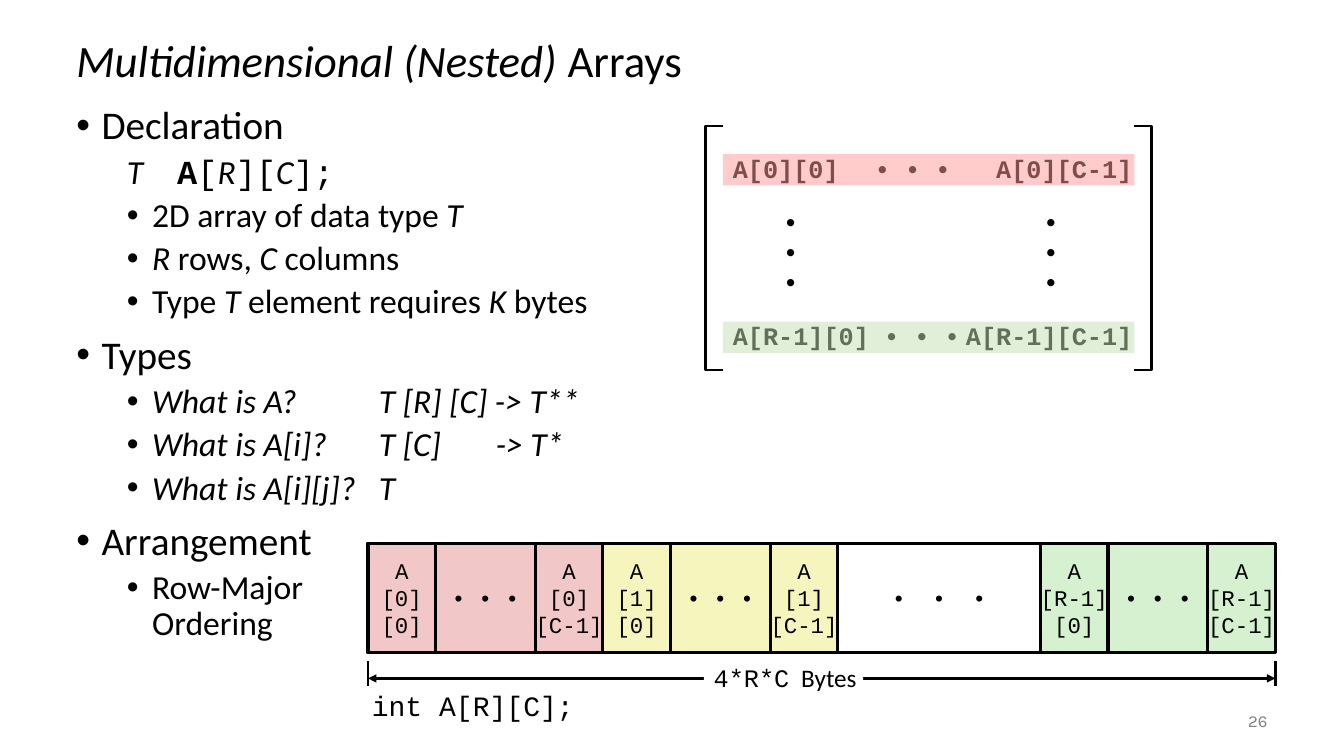
from lxml import etree
from pptx import Presentation
from pptx.dml.color import RGBColor
from pptx.enum.shapes import MSO_CONNECTOR as CONN, MSO_SHAPE as SHAPE
from pptx.enum.text import MSO_ANCHOR as ANCHOR, PP_ALIGN as ALIGN
from pptx.oxml.ns import qn
from pptx.util import Inches, Pt

COLORS = {"ink": "000000", "paper": "FFFFFF", "pink": "F1C7C7",
          "yellow": "F6F5BD", "green": "D5F1CF", "first_row": "FF9999",
          "last_row": "C5E0B4", "number": "808080"}
SANS, MONO = "Calibri", "Courier New"
IT, CODE = {"italic": True}, {"name": MONO}
DOTS = "• • •"


def rgb(name):
    return RGBColor.from_string(COLORS[name])


def sub(parent, tag, **attrs):
    return etree.SubElement(parent, qn(tag), attrs)


def add_run(p, text, color="ink", **fmt):
    r = p.add_run()
    r.text = text
    r.font.color.rgb = rgb(color)
    for key, value in fmt.items():
        setattr(r.font, key, value)
    return r


def add_text(s, box, anchor=ANCHOR.TOP, wrap=True):
    tf = s.shapes.add_textbox(*map(Inches, box)).text_frame
    tf.word_wrap, tf.vertical_anchor = wrap, anchor
    return tf


def add_box(s, box, fill, lines=(), line=None, align=ALIGN.LEFT, **fmt):
    sp = s.shapes.add_shape(SHAPE.RECTANGLE, *map(Inches, box))
    sp.shadow.inherit = False
    sp.fill.solid()
    sp.fill.fore_color.rgb = rgb(fill)
    if line:
        sp.line.color.rgb = rgb("ink")
        sp.line.width = Pt(line)
    else:
        sp.line.fill.background()
    tf = sp.text_frame
    tf.word_wrap, tf.vertical_anchor = False, ANCHOR.MIDDLE
    for i, text in enumerate(lines):
        p = tf.add_paragraph() if i else tf.paragraphs[0]
        p.alignment = align
        add_run(p, text, **{"name": MONO, **fmt})
    return sp


def add_line(s, x1, y1, x2, y2, arrows=False):
    c = s.shapes.add_connector(CONN.STRAIGHT, *map(Inches, (x1, y1, x2, y2)))
    c.line.color.rgb = rgb("ink")
    c.line.width = Pt(2)
    if arrows:
        for end in ("a:headEnd", "a:tailEnd"):
            sub(c.line._get_or_add_ln(), end, type="triangle")
    sub(c._element.spPr, "a:effectLst")


def title(s, box):
    p = add_text(s, box, ANCHOR.MIDDLE).paragraphs[0]
    p.line_spacing = 0.9
    add_run(p, "Multidimensional (Nested)", name=SANS, size=Pt(32), italic=True)
    add_run(p, " Arrays", name=SANS, size=Pt(32))


# Outline: (level, bullet, tab stops, runs)
OUTLINE = [
    (0, True, (), [("Declaration", {})]),
    (1, False, (0.89,), [("T\t", IT), ("A", {"name": MONO, "bold": True}),
                         ("[", CODE), ("R", IT), ("][", CODE), ("C", IT),
                         ("];", CODE)]),
    (1, True, (), [("2D array of data type ", {}), ("T", IT)]),
    (1, True, (), [("R", IT), (" rows, ", {}), ("C", IT), (" columns", {})]),
    (1, True, (), [("Type ", {}), ("T", IT), (" element requires ", {}),
                   ("K", IT), (" bytes", {})]),
    (0, True, (), [("Types", {})]),
    (1, True, (3,), [("What is A?\tT [R] [C] -> T**", IT)]),
    (1, True, (3, 4.16), [("What is A[i]?\tT [C]\t-> T*", IT)]),
    (1, True, (3,), [("What is A[i][j]?\tT", IT)]),
    (0, True, (), [("Arrangement", {})]),
    (1, True, (), [("Row-Major", {}), ("\n", {}), ("Ordering", {})]),
]


def outline(s, box):
    tf = add_text(s, box)
    for i, (level, bullet, tabs, runs) in enumerate(OUTLINE):
        p = tf.add_paragraph() if i else tf.paragraphs[0]
        p.level, p.line_spacing = level, 0.9
        if i:
            p.space_before = Pt(5 if level else 10)
        hang = 0.25 if bullet else 0
        pPr = p._p.get_or_add_pPr()
        pPr.set("marL", str(Inches(0.5 * level + hang)))
        pPr.set("indent", str(Inches(-hang)))
        if bullet:
            sub(pPr, "a:buFont", typeface="Arial")
            sub(pPr, "a:buChar", char="•")
        else:
            sub(pPr, "a:buNone")
        if tabs:
            stops = sub(pPr, "a:tabLst")
            for pos in tabs:
                sub(stops, "a:tab", pos=str(Inches(pos)), algn="l")
        for text, fmt in runs:
            if text == "\n":
                p.add_line_break()
            else:
                add_run(p, text, **{"name": SANS, "size": Pt(24 if level else 28), **fmt})


def matrix(s, box):
    x, y, w, h = box
    fmt = {"size": Pt(18), "bold": True}
    rows = [(0.17, "0", 1.58, "first_row"), (1.83, "R-1", 1.67, "last_row")]
    # Row ends and the dots between them
    for dy, row, dots_x, _ in rows:
        add_box(s, (x + 0.17, y + dy, 1.33, 0.5), "paper", [f"A[{row}][0]"], **fmt)
        add_box(s, (x + dots_x, y + dy, 1, 0.5), "paper", [DOTS], **fmt)
        add_box(s, (x + 3, y + dy, 1.33, 0.5), "paper", [f"A[{row}][C-1]"],
                align=ALIGN.RIGHT, **fmt)
    # Dots down the columns
    for dx in (0.67, 3.25):
        add_box(s, (x + dx, y + 0.83, 0.5, 0.83), "paper", DOTS.split(), **fmt)
    # Brackets
    for edge, tip in ((x, x + 0.17), (x + w, x + w - 0.17)):
        fb = s.shapes.build_freeform(Inches(tip), Inches(y))
        fb.add_line_segments([(Inches(a), Inches(b)) for a, b in
                              ((edge, y), (edge, y + h), (tip, y + h))], close=False)
        sp = fb.convert_to_shape()
        sp.shadow.inherit = False
        sp.fill.background()
        sp.line.color.rgb = rgb("ink")
        sp.line.width = Pt(2)
    # Translucent row highlights
    for dy, _, _, color in rows:
        sp = add_box(s, (x + 0.17, y + dy + 0.11, w - 0.34, 0.31), color)
        sub(sp._element.spPr.find(".//" + qn("a:srgbClr")), "a:alpha", val="50000")


def memory(s, box):
    x, y, w, h = box
    cell, row_w = 0.67, 2.33
    fmt = {"size": Pt(16), "align": ALIGN.CENTER}
    rows = [(0, "0", "pink"), (row_w, "1", "yellow"), (w - row_w, "R-1", "green")]
    for dx, row, color in rows:
        left = x + dx
        add_box(s, (left, y, row_w, h), color, [DOTS], 2.25, **fmt)
        for cx, col in ((left, "0"), (left + row_w - cell, "C-1")):
            add_box(s, (cx, y, cell, h), color, ["A", f"[{row}]", f"[{col}]"], 2.25, **fmt)
    gap = add_box(s, (x + 2 * row_w, y, w - 3 * row_w, h), "paper", [DOTS], 2, **fmt)
    gap.text_frame.paragraphs[0].runs[0].font._element.set("spc", "480")
    # Size arrow with its label
    for end in (x, x + w):
        add_line(s, end, y + 1.17, end, y + 1.42)
    add_line(s, x, y + 1.34, x + w, y + 1.34, arrows=True)
    label = add_box(s, (x + 3.33, y + 1.12, 1.58, 0.42), "paper", ["4*R*C"], size=Pt(18))
    p = label.text_frame.paragraphs[0]
    add_run(p, " ", name=MONO, size=Pt(14))
    add_run(p, "Bytes", name=SANS, size=Pt(18))
    # Declaration below
    p = add_text(s, (x - 0.06, y + 1.39, 2.4, 0.43), wrap=False).paragraphs[0]
    p.alignment = ALIGN.LEFT
    add_run(p, "int A[R][C];", name=MONO, size=Pt(20))


def slide_number(s, box):
    p = add_text(s, box, ANCHOR.MIDDLE).paragraphs[0]
    p.alignment = ALIGN.RIGHT
    add_run(p, "26", "number", name="Karla", size=Pt(12))


def main():
    prs = Presentation()
    prs.slide_width, prs.slide_height = Inches(13.33), Inches(7.5)
    s = prs.slides.add_slide(prs.slide_layouts[6])
    outline(s, (0.66, 1, 5.84, 5.75))
    title(s, (0.66, 0.25, 12, 0.75))
    matrix(s, (7, 1.25, 4.42, 2.42))
    memory(s, (3.65, 5.39, 9, 1.08))
    slide_number(s, (11.67, 6.95, 1, 0.4))
    prs.save("out.pptx")


if __name__ == "__main__":
    main()
